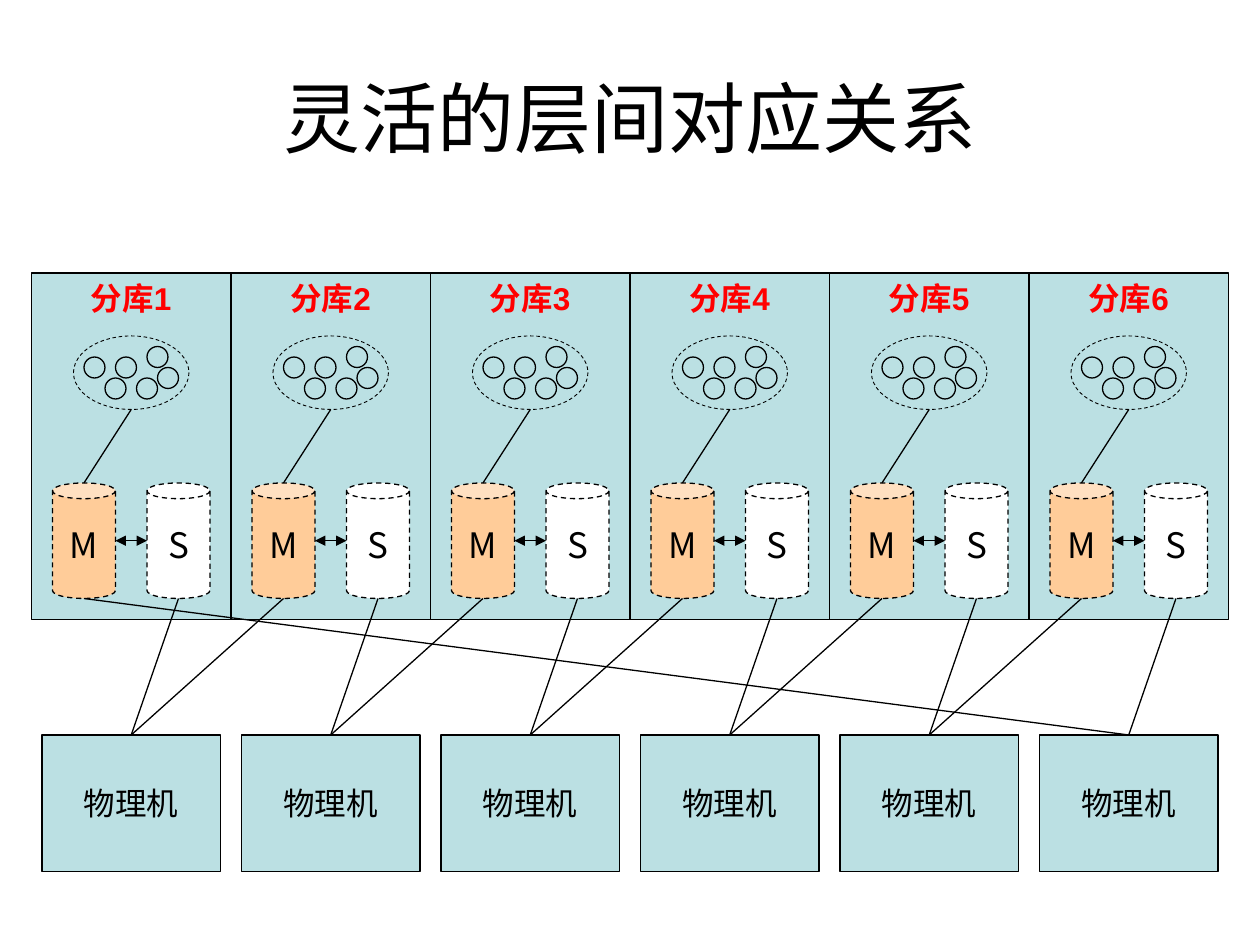
from dataclasses import dataclass
from typing import NamedTuple, Optional

from pptx import Presentation
from pptx.dml.color import RGBColor
from pptx.enum.dml import MSO_LINE
from pptx.enum.shapes import MSO_CONNECTOR, MSO_SHAPE
from pptx.enum.text import MSO_ANCHOR, MSO_AUTO_SIZE, PP_ALIGN
from pptx.oxml.ns import qn
from pptx.util import Pt


@dataclass(frozen=True)
class Theme:
    black: str = "000000"
    white: str = "FFFFFF"
    red: str = "FF0000"
    teal: str = "BBE0E3"
    peach: str = "FFCC99"
    latin: str = "Arial"
    asian: str = "Noto Sans CJK SC"
    title: int = 44
    label: int = 18
    role: int = 20
    line: float = 0.75
    thin: float = 0.5


THEME = Theme()


class Box(NamedTuple):
    x: float
    y: float
    w: float
    h: float

    def shift(self, dx: float) -> "Box":
        return self._replace(x=self.x + dx)

    @property
    def mid(self) -> float:
        return self.x + self.w / 2

    @property
    def base(self) -> float:
        return self.y + self.h


@dataclass(frozen=True)
class Look:
    kind: MSO_SHAPE
    fill: Optional[str] = None
    line: float = THEME.line
    dash: bool = False


@dataclass(frozen=True)
class Type:
    size: int
    name: str = THEME.latin
    color: str = THEME.black
    bold: bool = False
    anchor: MSO_ANCHOR = MSO_ANCHOR.MIDDLE


COUNT, PITCH = 6, 114

# First column; the others follow at the pitch
PANEL = Box(18, 156, PITCH, 198)
MASTER = Box(30, 276, 36, 66)
SLAVE = MASTER.shift(54)
GROUP = Box(42, 192, 66, 42)
HOST = Box(24, 420, 102, 78)
DOT = 12
DOTS = [(60, 216), (84, 198), (78, 216), (66, 204), (48, 204), (90, 210)]

BLOCK = Look(MSO_SHAPE.RECTANGLE, THEME.teal)
RING = Look(MSO_SHAPE.OVAL, THEME.teal)
CLOUD = Look(MSO_SHAPE.OVAL, line=THEME.thin, dash=True)
MAIN = Look(MSO_SHAPE.CAN, THEME.peach, dash=True)
SPARE = Look(MSO_SHAPE.CAN, THEME.white, dash=True)

TITLE = Type(THEME.title)
HEAD = Type(THEME.label, color=THEME.red, bold=True, anchor=MSO_ANCHOR.TOP)
LABEL = Type(THEME.label)
ROLE = Type(THEME.role, THEME.asian)


def write(shape, text: str, style: Type, wrap: bool = False) -> None:
    frame = shape.text_frame
    frame.text = text
    para = frame.paragraphs[0]
    para.alignment = PP_ALIGN.CENTER
    font = para.runs[0].font
    font.color.rgb = RGBColor.from_string(style.color)
    formats = {
        frame: {"word_wrap": wrap, "vertical_anchor": style.anchor,
                "auto_size": MSO_AUTO_SIZE.NONE},
        font: {"size": Pt(style.size), "name": style.name, "bold": style.bold},
    }
    for target, values in formats.items():
        for key, value in values.items():
            setattr(target, key, value)
    east = font._element.makeelement(qn("a:ea"), {"typeface": THEME.asian})
    font._element.find(qn("a:latin")).addnext(east)


def draw(slide, box: Box, look: Look, text: str = "", style: Type = LABEL):
    shape = slide.shapes.add_shape(look.kind, *map(Pt, box))
    shape.shadow.inherit = False
    if look.fill:
        shape.fill.solid()
        shape.fill.fore_color.rgb = RGBColor.from_string(look.fill)
    else:
        shape.fill.background()
    shape.line.color.rgb = RGBColor.from_string(THEME.black)
    shape.line.width = Pt(look.line)
    if look.dash:
        shape.line.dash_style = MSO_LINE.DASH
    if text:
        write(shape, text, style)
    return shape


def link(slide, x1: float, y1: float, x2: float, y2: float, arrows: bool = False):
    line = slide.shapes.add_connector(
        MSO_CONNECTOR.STRAIGHT, *map(Pt, (x1, y1, x2, y2)))
    line.line.color.rgb = RGBColor.from_string(THEME.black)
    line.line.width = Pt(THEME.line)
    props = line._element.spPr
    if arrows:
        stroke = props.find(qn("a:ln"))
        for tag in ("a:headEnd", "a:tailEnd"):
            stroke.append(stroke.makeelement(qn(tag), {"type": "triangle"}))
    props.append(props.makeelement(qn("a:effectLst"), {}))
    return line


def shard(slide, index: int) -> None:
    dx = index * PITCH
    group, main, spare = (box.shift(dx) for box in (GROUP, MASTER, SLAVE))
    draw(slide, PANEL.shift(dx), BLOCK, f"分库{index + 1}", HEAD)
    draw(slide, spare, SPARE, "S", ROLE)
    draw(slide, main, MAIN, "M", ROLE)
    level = main.y + main.h / 2
    link(slide, main.x + main.w, level, spare.x, level, arrows=True)
    for x, y in DOTS:
        draw(slide, Box(x + dx, y, DOT, DOT), RING)
    draw(slide, group, CLOUD)
    link(slide, group.mid, group.base, main.mid, main.y)


def wire(slide, hosts: list) -> None:
    """Join each host to its own slave and to the next shard's master."""
    for index, host in enumerate(hosts):
        top = HOST.shift(index * PITCH)
        after = (index + 1) % COUNT
        for can in (SLAVE.shift(index * PITCH), MASTER.shift(after * PITCH)):
            line = link(slide, can.mid, can.base, top.mid, top.y)
            line.end_connect(host, 0)


def main() -> None:
    deck = Presentation()
    deck.slide_width, deck.slide_height = Pt(720), Pt(540)
    slide = deck.slides.add_slide(deck.slide_layouts[5])
    title = slide.shapes.title
    place = {"left": 36, "top": 21.6, "width": 648, "height": 90}
    for key, value in place.items():
        setattr(title, key, Pt(value))
    write(title, "灵活的层间对应关系", TITLE, wrap=True)
    for index in range(COUNT):
        shard(slide, index)
    hosts = [draw(slide, HOST.shift(i * PITCH), BLOCK, "物理机") for i in range(COUNT)]
    wire(slide, hosts)
    deck.save("out.pptx")


if __name__ == "__main__":
    main()
